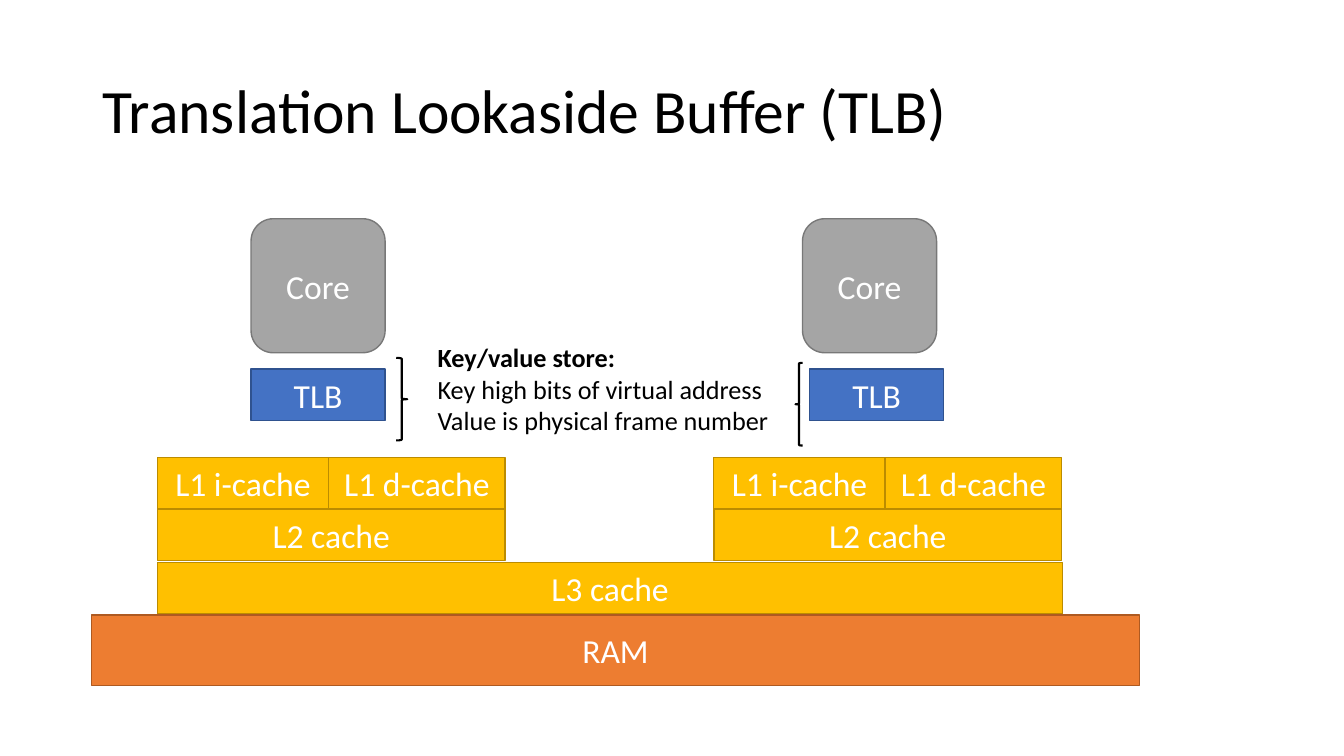
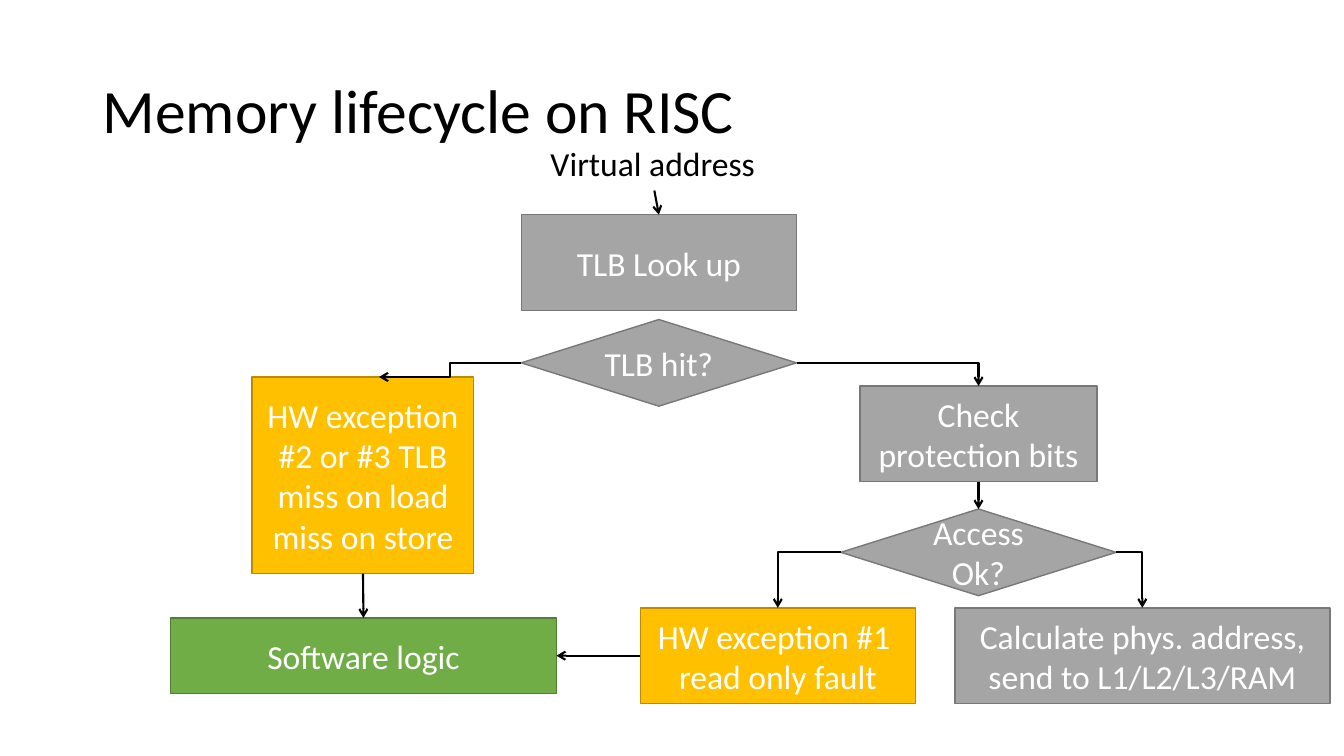
from dataclasses import dataclass

from lxml import etree
from pptx import Presentation
from pptx import util as u
from pptx.dml.color import RGBColor
from pptx.enum import shapes, text
from pptx.oxml.ns import qn

SHAPE = shapes.MSO_SHAPE
TOP, LEFT, BOTTOM, RIGHT = range(4)  # connection sites


@dataclass(frozen=True)
class Theme:
    font: str = "Calibri"
    ink: str = "000000"
    paper: str = "FFFFFF"
    title_size: float = 44
    body_size: float = 24
    note_size: float = 18.7
    box_line: float = 1
    arrow_line: float = 1.5
    # (fill, outline) pairs
    grey: tuple = ("A5A5A5", "787878")
    blue: tuple = ("4472C4", "2F528F")
    gold: tuple = ("FFC000", "BC8C00")
    orange: tuple = ("ED7D31", "AE5A21")
    green: tuple = ("70AD47", "507E32")


T = Theme()


# Text
def write(tf, content, size=T.body_size, color=T.ink, align=text.PP_ALIGN.LEFT,
          anchor=text.MSO_ANCHOR.TOP, inset=(0.13, 0.07), spacing=None,
          wrap=True, bold_first=False):
    tf.word_wrap = wrap
    tf.vertical_anchor = anchor
    tf.margin_left = tf.margin_right = u.Inches(inset[0])
    tf.margin_top = tf.margin_bottom = u.Inches(inset[1])
    for i, line in enumerate(content.split("\n")):
        p = tf.add_paragraph() if i else tf.paragraphs[0]
        p.alignment = align
        if spacing:
            p.line_spacing = spacing
        r = p.add_run()
        r.text = line
        r.font.name = T.font
        r.font.size = u.Pt(size)
        r.font.bold = bold_first and i == 0
        r.font.color.rgb = RGBColor.from_string(color)


def label(s, at, content, **fmt):
    sp = s.shapes.add_textbox(*map(u.Inches, at))
    write(sp.text_frame, content, **fmt)
    return sp


def add_slide(prs, title):
    s = prs.slides.add_slide(prs.slide_layouts[6])
    label(s, (0.92, 0.4, 11.5, 1.45), title, size=T.title_size, spacing=0.9,
          anchor=text.MSO_ANCHOR.MIDDLE, inset=(0.1, 0.05))
    return s


# Shapes
def outline(sp, color, width):
    sp.shadow.inherit = False
    sp.line.color.rgb = RGBColor.from_string(color)
    sp.line.width = u.Pt(width)


def box(s, at, content, colors, kind=SHAPE.RECTANGLE):
    sp = s.shapes.add_shape(kind, *map(u.Inches, at))
    fill, line = colors
    sp.fill.solid()
    sp.fill.fore_color.rgb = RGBColor.from_string(fill)
    outline(sp, line, T.box_line)
    write(sp.text_frame, content, color=T.paper, align=text.PP_ALIGN.CENTER,
          anchor=text.MSO_ANCHOR.MIDDLE)
    return sp


def brace(s, at, kind):
    sp = s.shapes.add_shape(kind, *map(u.Inches, at))
    sp.fill.background()
    outline(sp, T.ink, T.arrow_line)


def arrow(s, start, start_site, end, end_site, kind="line"):
    """Join two shapes; kind is the preset geometry of the connector."""
    cx = s.shapes.add_connector(shapes.MSO_CONNECTOR.ELBOW, 0, 0, 0, 0)
    cx.begin_connect(start, start_site)
    cx.end_connect(end, end_site)
    cx.line.color.rgb = RGBColor.from_string(T.ink)
    cx.line.width = u.Pt(T.arrow_line)
    pr = cx._element.spPr
    pr.find(qn("a:prstGeom")).set("prst", kind)
    etree.SubElement(pr.find(qn("a:ln")), qn("a:tailEnd"), type="arrow")
    etree.SubElement(pr, qn("a:effectLst"))
    return cx


# Slides
def tlb_slide(prs):
    s = add_slide(prs, "Translation Lookaside Buffer (TLB)")
    row_h, l1_split, cache_w = 0.51, 1.7, 3.45

    # Each core with its own TLB and caches
    for core_x, tlb_x, cache_x in ((2.49, 2.49, 1.56), (7.96, 8.03, 7.08)):
        box(s, (core_x, 2.17, 1.33, 1.33), "Core", T.grey, SHAPE.ROUNDED_RECTANGLE)
        box(s, (tlb_x, 3.66, 1.33, row_h), "TLB", T.blue)
        box(s, (cache_x, 4.54, l1_split, row_h), "L1 i-cache", T.gold)
        box(s, (cache_x + l1_split, 4.54, cache_w - l1_split, row_h),
            "L1 d-cache", T.gold)
        box(s, (cache_x, 5.05, cache_w, row_h), "L2 cache", T.gold)

    # Shared memory
    box(s, (1.56, 5.58, 8.98, row_h), "L3 cache", T.gold)
    box(s, (0.91, 6.1, 10.39, 0.7), "RAM", T.orange)

    # Explanation between the TLBs
    brace(s, (7.89, 3.6, 0.07, 0.82), SHAPE.LEFT_BRACE)
    brace(s, (3.93, 3.55, 0.11, 0.82), SHAPE.RIGHT_BRACE)
    label(s, (4.21, 3.32, 5.08, 1.08),
          "Key/value store:\nKey high bits of virtual address\n"
          "Value is physical frame number", size=T.note_size, bold_first=True)


def lifecycle_slide(prs):
    s = add_slide(prs, "Memory lifecycle on RISC")
    step_w, step_h, test_h = 2.73, 0.95, 0.86

    # Steps and decisions
    hit = box(s, (5.17, 3.17, step_w, test_h), "TLB hit?", T.grey, SHAPE.DIAMOND)
    lookup = box(s, (5.17, 2.13, step_w, step_h), "TLB Look up", T.grey)
    access = box(s, (8.34, 5.05, step_w, test_h), "Access Ok?", T.grey, SHAPE.DIAMOND)
    fault = box(s, (6.35, 6.03, step_w, step_h),
                "HW exception #1 \nread only fault", T.gold)
    send = box(s, (9.47, 6.03, 3.72, step_h),
               "Calculate phys. address, send to L1/L2/L3/RAM", T.grey)
    miss = box(s, (2.5, 3.74, 2.2, 1.95),
               "HW exception #2 or #3 TLB miss on load\nmiss on store", T.gold)
    check = box(s, (8.53, 3.83, 2.35, step_h), "Check protection bits", T.grey)
    software = box(s, (1.69, 6.13, 3.83, 0.75), "Software logic", T.green)
    address = label(s, (5.33, 1.35, 2.32, 0.54), "Virtual address", wrap=False)

    # Flow
    arrow(s, address, BOTTOM, lookup, TOP)
    arrow(s, hit, RIGHT, check, TOP, "bentConnector2")
    arrow(s, check, BOTTOM, access, TOP)
    arrow(s, access, RIGHT, send, TOP, "bentConnector2")
    arrow(s, access, LEFT, fault, TOP, "bentConnector2")
    arrow(s, fault, LEFT, software, RIGHT)
    arrow(s, miss, BOTTOM, software, TOP)

    # The miss arrow arrives sideways, so its end stays unglued
    to_miss = arrow(s, hit, LEFT, miss, TOP, "bentConnector3")
    to_miss.end_x, to_miss.end_y = u.Inches(3.76), u.Inches(3.74)
    to_miss.end_disconnect() if hasattr(to_miss, "end_disconnect") else None


def main():
    prs = Presentation()
    prs.slide_width, prs.slide_height = u.Inches(13.33), u.Inches(7.5)
    tlb_slide(prs)
    lifecycle_slide(prs)
    prs.save("out.pptx")


if __name__ == "__main__":
    main()
